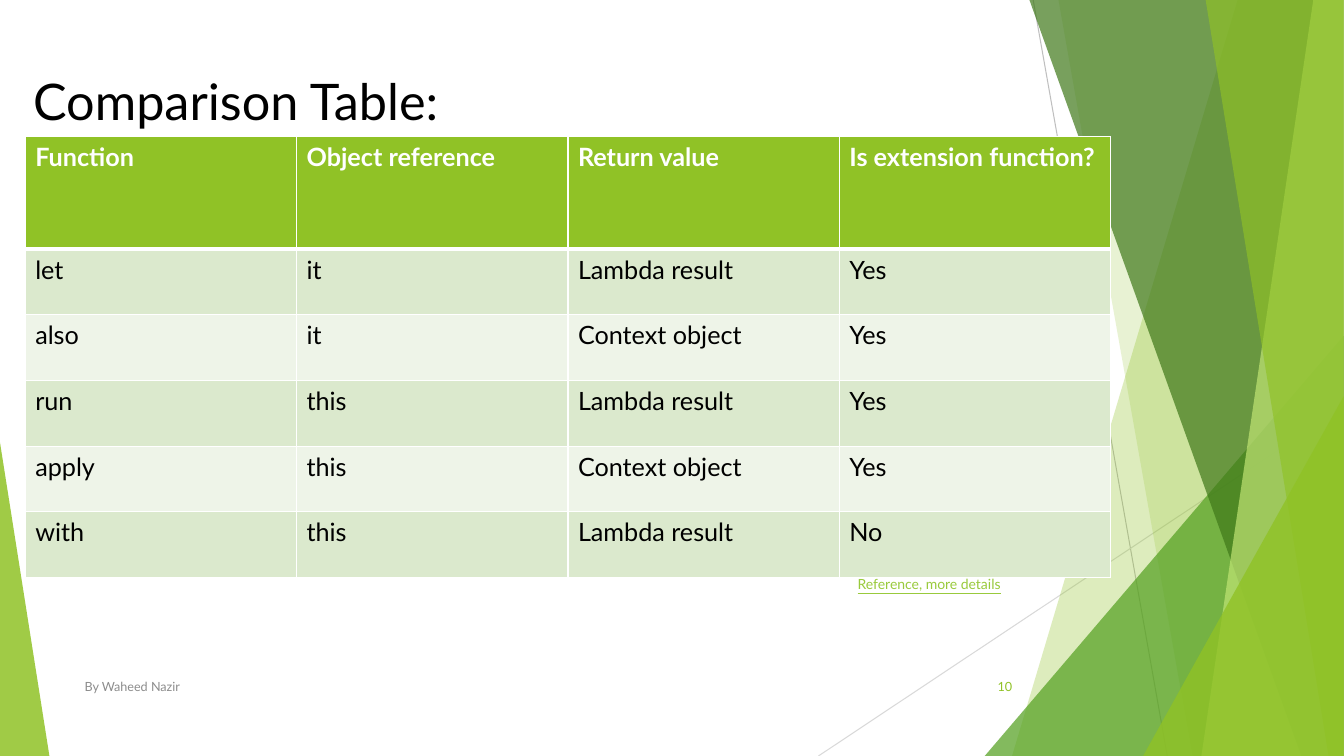
from lxml import etree
from pptx import Presentation
from pptx import util as u
from pptx.dml.color import RGBColor
from pptx.enum import shapes, text
from pptx.oxml.ns import qn

Pt = u.Pt
COLORS = {
    "black": "000000", "white": "FFFFFF", "lime": "90C226", "green": "54A021",
    "forest": "3F7819", "pale": "C0E474", "band": "DBE9CD", "light_band": "EEF4E8",
    "line": "BFBFBF", "light_line": "D9D9D9", "footer": "8C8C8C", "link": "99CA3C",
}
RIGHT, TOP, BOTTOM = 959.8, -0.6, 540


def style(r, size, color):
    r.font.name = "Lato"
    r.font.size = Pt(size)
    r.font.color.rgb = RGBColor.from_string(COLORS[color])


def add_text(s, box, words, size, color, anchor=text.MSO_ANCHOR.TOP,
             align=text.PP_ALIGN.LEFT, wrap=True):
    tf = s.shapes.add_textbox(*map(Pt, box)).text_frame
    tf.word_wrap = wrap
    tf.vertical_anchor = anchor
    tf.text = words
    p = tf.paragraphs[0]
    p.alignment = align
    style(p.runs[0], size, color)
    return p.runs[0]


prs = Presentation()
prs.slide_width, prs.slide_height = Pt(960), Pt(540)
s = prs.slides.add_slide(prs.slide_layouts[6])

for x1, y1, x2, y2, color in [(738, 0, 833.8, 540, "line"),
                              (960, 290.2, 584.6, 540, "light_line")]:
    c = s.shapes.add_connector(shapes.MSO_CONNECTOR.STRAIGHT, Pt(x1), Pt(y1), Pt(x2), Pt(y2))
    c.line.color.rgb = RGBColor.from_string(COLORS[color])
    c.line.width = Pt(0.75)
    etree.SubElement(c._element.spPr, qn("a:effectLst"))

facets = [
    ("wedge", (884.2, 722.9), "lime", 30),
    ("wedge", (756, 851.8), "lime", 20),
    ("triangle", (703.4, 239.8, 256.4, 1), "green", 72),
    ("wedge", (735.1, 929.5), "forest", 70),
    ("wedge", (938.2, 858.2), "pale", 70),
    ("wedge", (861.1, 949), "lime", 65),
    ("triangle", (816.5, 283, 143.3, 1), "lime", 80),
    ("triangle", (0, 316.1, 35.3, 0), "lime", 85),
]
for kind, geometry, color, opacity in facets:
    if kind == "wedge":
        top_x, bottom_x = geometry
        outline = s.shapes.build_freeform(Pt(top_x), Pt(TOP))
        corners = [(RIGHT, TOP), (RIGHT, BOTTOM), (bottom_x, BOTTOM)]
        outline.add_line_segments([(Pt(x), Pt(y)) for x, y in corners], close=True)
        sp = outline.convert_to_shape()
    else:
        left, top, width, apex = geometry
        sp = s.shapes.add_shape(shapes.MSO_SHAPE.ISOSCELES_TRIANGLE,
                                Pt(left), Pt(top), Pt(width), Pt(BOTTOM - top))
        sp.adjustments[0] = apex
    sp.shadow.inherit = False
    sp.line.fill.background()
    sp.fill.solid()
    sp.fill.fore_color.rgb = RGBColor.from_string(COLORS[color])
    rgb = sp._element.spPr.find(qn("a:solidFill"))[0]
    etree.SubElement(rgb, qn("a:alpha"), val=str(opacity * 1000))

add_text(s, (16.6, 46.8, 712.8, 81.4), "Comparison Table:", 36, "black")

rows = [
    ("Function", "Object reference", "Return value", "Is extension function?"),
    ("let", "it", "Lambda result", "Yes"),
    ("also", "it", "Context object", "Yes"),
    ("run", "this", "Lambda result", "Yes"),
    ("apply", "this", "Context object", "Yes"),
    ("with", "this", "Lambda result", "No"),
]
table = s.shapes.add_table(len(rows), 4, Pt(18), Pt(97.4), Pt(775.4), Pt(315.1)).table
for column in table.columns:
    column.width = Pt(193.85)
for i, row in enumerate(rows):
    table.rows[i].height = Pt(46.9 if i else 80.6)
    fill = ("light_band", "band")[i % 2] if i else "lime"
    for j, words in enumerate(row):
        cell = table.cell(i, j)
        tcPr = cell._tc.get_or_add_tcPr()
        for side in ("lnL", "lnR", "lnT", "lnB"):
            heavy = (i, side) in [(0, "lnB"), (1, "lnT")]
            ln = etree.SubElement(tcPr, qn("a:" + side), w=str(Pt(3 if heavy else 1)))
            solid = etree.SubElement(ln, qn("a:solidFill"))
            etree.SubElement(solid, qn("a:srgbClr"), val=COLORS["white"])
        cell.fill.solid()
        cell.fill.fore_color.rgb = RGBColor.from_string(COLORS[fill])
        cell.text_frame.text = words
        r = cell.text_frame.paragraphs[0].runs[0]
        style(r, 18, "black" if i else "white")
        r.font.bold = i == 0

add_text(s, (53.3, 475.9, 496.1, 28.8), "By Waheed Nazir", 9, "footer",
         anchor=text.MSO_ANCHOR.MIDDLE)
add_text(s, (676.1, 475.9, 54, 28.8), "10", 9, "lime",
         anchor=text.MSO_ANCHOR.MIDDLE, align=text.PP_ALIGN.RIGHT)
r = add_text(s, (605.5, 407.5, 124.6, 19.4), "Reference, more details", 10, "link", wrap=False)
r.font.underline = True

prs.save("out.pptx")
